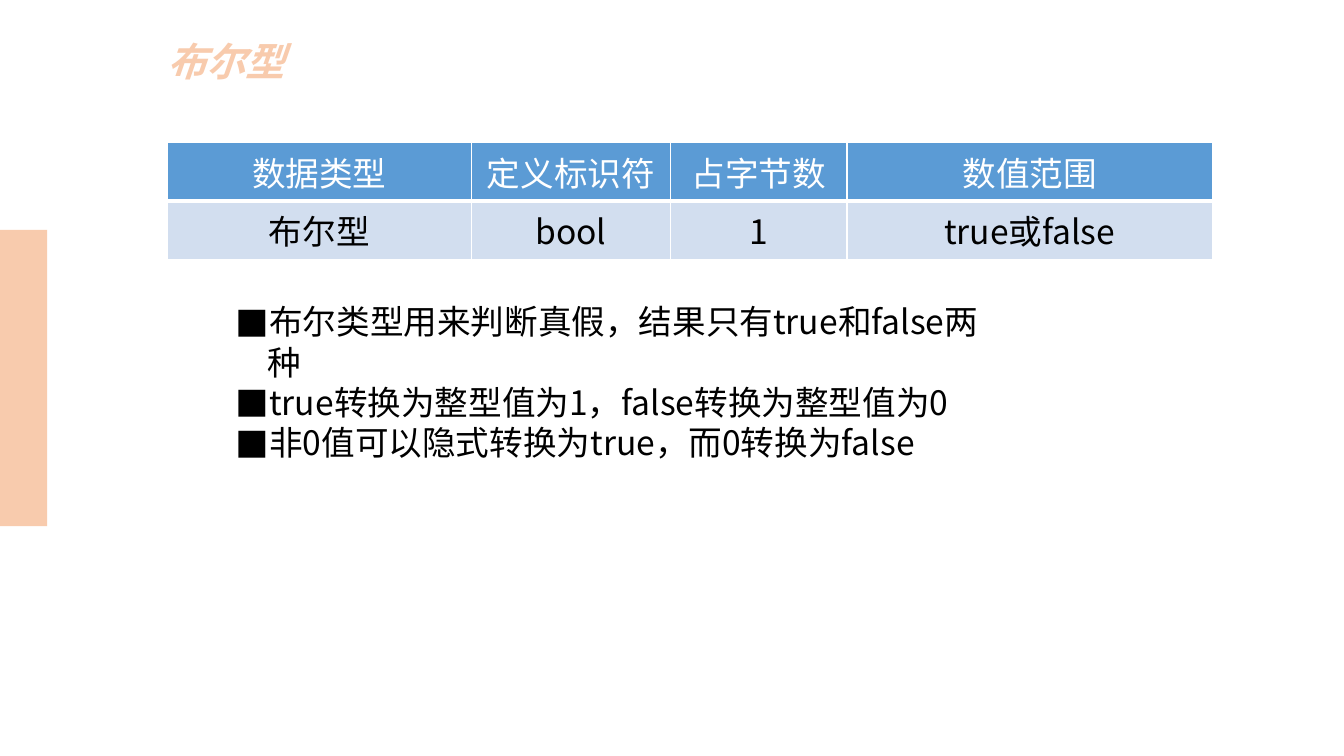
from dataclasses import dataclass

from lxml.etree import SubElement
from pptx import Presentation
from pptx.dml.color import RGBColor
from pptx.enum.shapes import MSO_SHAPE as Shape
from pptx.enum.text import MSO_AUTO_SIZE as AutoSize
from pptx.enum.text import PP_ALIGN as Align
from pptx.oxml.ns import qn
from pptx.util import Pt

FONT = "Noto Sans CJK SC"
PEACH, ORANGE, WHITE, BLACK = "F8CBAD", "ED7D31", "FFFFFF", "000000"


@dataclass
class Box:
    left: float
    top: float
    width: float
    height: float

    def lengths(self) -> tuple:
        return Pt(self.left), Pt(self.top), Pt(self.width), Pt(self.height)


@dataclass
class RowStyle:
    height: float
    fill: str
    color: str
    bottom_border: float
    texts: tuple


def paint(fill, color: str) -> None:
    fill.solid()
    fill.fore_color.rgb = RGBColor.from_string(color)


def add_line(parent, tag: str, width: float, color: str):
    line = SubElement(parent, qn(tag), w=str(Pt(width)))
    solid = SubElement(line, qn("a:solidFill"))
    SubElement(solid, qn("a:srgbClr"), val=color)
    return line


def write(paragraph, text: str, *, size=24, color=BLACK, bold=False,
          italic=False, align=None, spacing=None, bullet=None, outline=None) -> None:
    if bullet:
        properties = paragraph._p.get_or_add_pPr()
        properties.set("marL", str(Pt(22.5)))
        properties.set("indent", str(-Pt(22.5)))
        SubElement(properties, qn("a:buFont"), typeface=FONT)
        SubElement(properties, qn("a:buChar"), char=bullet)
    if align is not None:
        paragraph.alignment = align
    if spacing is not None:
        paragraph.line_spacing = spacing
    run = paragraph.add_run()
    run.text = text
    font = run.font
    font.size, font.bold, font.italic, font.name = Pt(size), bold, italic, FONT
    paint(font.fill, color)
    properties = run._r.get_or_add_rPr()
    SubElement(properties, qn("a:ea"), typeface=FONT)
    if outline:
        properties.insert(0, add_line(properties, "a:ln", 1.75, outline))


def add_text(slide, box: Box, texts: tuple, **style) -> None:
    frame = slide.shapes.add_textbox(*box.lengths()).text_frame
    frame.word_wrap = True
    frame.auto_size = AutoSize.SHAPE_TO_FIT_TEXT
    for index, text in enumerate(texts):
        paragraph = frame.add_paragraph() if index else frame.paragraphs[0]
        write(paragraph, text, **style)


def add_type_table(slide, box: Box, widths: tuple, rows: tuple) -> None:
    table = slide.shapes.add_table(len(rows), len(widths), *box.lengths()).table
    for column, width in zip(table.columns, widths):
        column.width = Pt(width)
    for table_row, row in zip(table.rows, rows):
        table_row.height = Pt(row.height)
        for cell, text in zip(table_row.cells, row.texts):
            write(cell.text_frame.paragraphs[0], text, color=row.color, align=Align.CENTER)
            properties = cell._tc.get_or_add_tcPr()
            for side in "LRTB":
                width = row.bottom_border if side == "B" else 1
                add_line(properties, f"a:ln{side}", width, WHITE)
            paint(cell.fill, row.fill)


def main() -> None:
    deck = Presentation()
    deck.slide_width, deck.slide_height = Pt(960), Pt(540)
    slide = deck.slides.add_slide(deck.slide_layouts[6])

    side_band = slide.shapes.add_shape(Shape.RECTANGLE, *Box(0, 164.2, 33.8, 211.7).lengths())
    side_band.shadow.inherit = False
    paint(side_band.fill, PEACH)
    side_band.line.fill.background()

    add_type_table(slide, Box(119.5, 101.5, 746.6, 74), (217.1, 142.4, 126, 261.1), (
        RowStyle(39, "5B9BD5", WHITE, 3, ("数据类型", "定义标识符", "占字节数", "数值范围")),
        RowStyle(35, "D2DEEF", BLACK, 1, ("布尔型", "bool", "1", "true或false")),
    ))
    add_text(slide, Box(112.3, 26.6, 414.7, 38.2), ("布尔型",), size=28, color=PEACH,
             bold=True, italic=True, spacing=0.9, outline=ORANGE)
    add_text(slide, Box(161.3, 211.7, 562.3, 145.4), (
        "布尔类型用来判断真假，结果只有true和false两种",
        "true转换为整型值为1，false转换为整型值为0",
        "非0值可以隐式转换为true，而0转换为false",
    ), bullet="■")
    deck.save("out.pptx")


if __name__ == "__main__":
    main()
